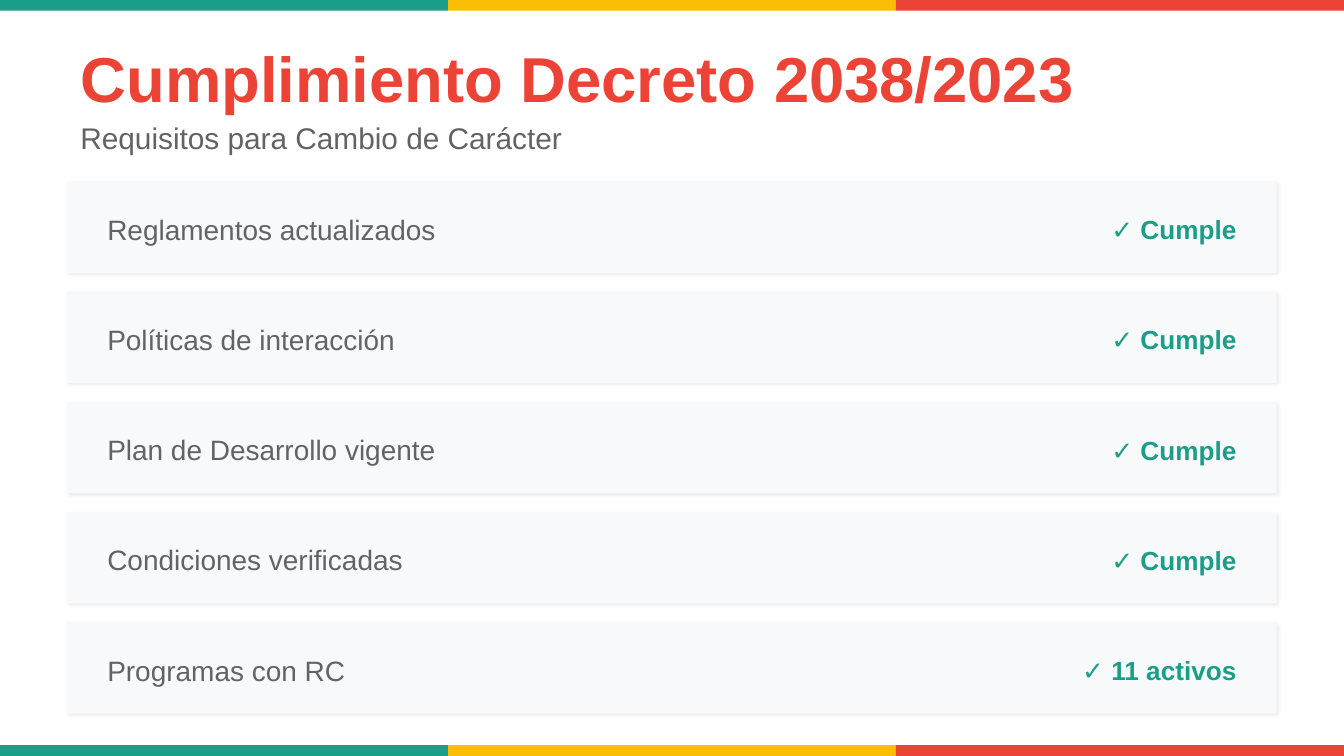
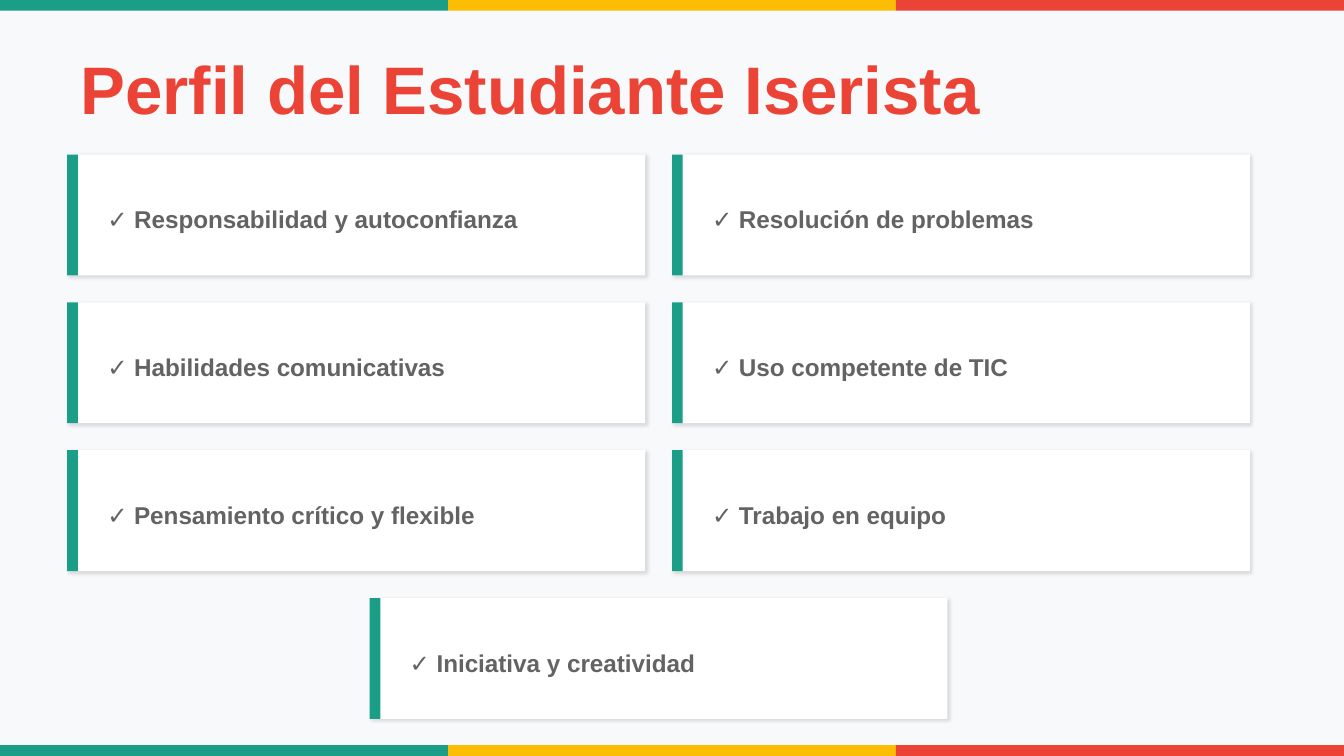
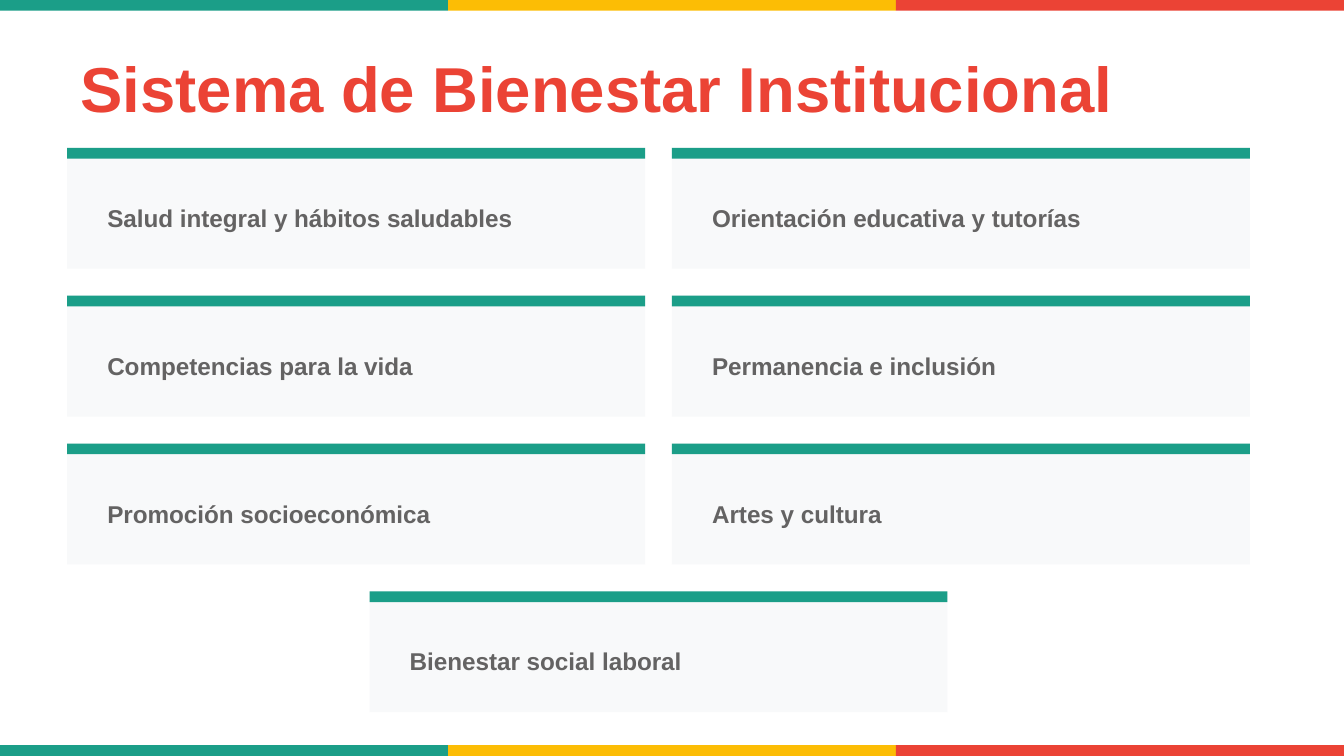
from lxml.etree import SubElement
from pptx import Presentation
from pptx.dml.color import RGBColor
from pptx.enum.shapes import MSO_SHAPE
from pptx.enum.text import MSO_ANCHOR, MSO_AUTO_SIZE, PP_ALIGN
from pptx.oxml.ns import qn
from pptx.util import Inches, Pt

# Content
REQUIREMENTS = [
    ("Reglamentos actualizados", "✓ Cumple"),
    ("Políticas de interacción", "✓ Cumple"),
    ("Plan de Desarrollo vigente", "✓ Cumple"),
    ("Condiciones verificadas", "✓ Cumple"),
    ("Programas con RC", "✓ 11 activos"),
]
PROFILE = [
    "✓ Responsabilidad y autoconfianza", "✓ Resolución de problemas",
    "✓ Habilidades comunicativas", "✓ Uso competente de TIC",
    "✓ Pensamiento crítico y flexible", "✓ Trabajo en equipo",
    "✓ Iniciativa y creatividad",
]
WELLBEING = [
    "Salud integral y hábitos saludables", "Orientación educativa y tutorías",
    "Competencias para la vida", "Permanencia e inclusión",
    "Promoción socioeconómica", "Artes y cultura",
    "Bienestar social laboral",
]

# Shared style, lengths in inches
COLORS = {"green": "1B9E88", "yellow": "FCBD05", "red": "EB4335",
          "gray": "646363", "light": "F8F9FA", "white": "FFFFFF", "black": "000000"}
FONT = "Arial"
W, H = 10, 10 * 9 / 16
MARGIN, PAD, BAND = 0.5, 0.2, 0.08
FULL = W - 2 * MARGIN
ROW_H, ROW_STEP = 0.68, 0.82
CARD_W, CARD_H, GAP = 4.3, 0.9, 0.2

prs = Presentation()
prs.slide_width, prs.slide_height = Inches(W), Inches(H)


def rgb(name):
    return RGBColor.from_string(COLORS[name])


def add_rect(s, x, y, w, h, color, shadow=0):
    """Plain rectangle; shadow is the opacity in percent."""
    sp = s.shapes.add_shape(MSO_SHAPE.RECTANGLE, *map(Inches, (x, y, w, h)))
    sp.fill.solid()
    sp.fill.fore_color.rgb = rgb(color)
    sp.line.fill.background()
    sp.shadow.inherit = False
    if shadow:
        effects = sp._element.spPr.find(qn("a:effectLst"))
        outer = SubElement(effects, qn("a:outerShdw"), blurRad=str(Pt(2)),
                           dist=str(Pt(1)), dir=str(45 * 60000),
                           algn="bl", rotWithShape="0")
        tint = SubElement(outer, qn("a:srgbClr"), val=COLORS["black"])
        SubElement(tint, qn("a:alpha"), val=str(shadow * 1000))


def write(sp, text, size, color, bold=False, align=PP_ALIGN.LEFT):
    tf = sp.text_frame
    tf.text = text
    tf.word_wrap = True
    tf.auto_size = MSO_AUTO_SIZE.NONE
    tf.vertical_anchor = MSO_ANCHOR.MIDDLE
    p = tf.paragraphs[0]
    p.alignment = align
    font = p.runs[0].font
    font.name, font.size, font.bold = FONT, Pt(size), bold
    font.color.rgb = rgb(color)


def add_text(s, x, y, w, h, *style, **options):
    write(s.shapes.add_textbox(*map(Inches, (x, y, w, h))), *style, **options)


def add_slide(title, size, title_h, background):
    s = prs.slides.add_slide(prs.slide_layouts[5])
    s.background.fill.solid()
    s.background.fill.fore_color.rgb = rgb(background)
    # Three-colour bands at top and bottom
    for y in (0, H - BAND):
        for i, color in enumerate(("green", "yellow", "red")):
            add_rect(s, i * W / 3, y, W / 3, BAND, color)
    sp = s.shapes.title
    sp.left, sp.top, sp.width, sp.height = map(Inches, (MARGIN, 0.3, FULL, title_h))
    write(sp, title, size, "red", bold=True)
    return s


def add_cards(s, labels, top, text_dy, fill, bar_size, shadow=0):
    """Two columns of cards; a last odd card sits between them."""
    for i, label in enumerate(labels):
        row, col = divmod(i, 2)
        if i == len(labels) - 1 and col == 0:
            col = 0.5
        x = MARGIN + col * (CARD_W + GAP)
        y = top + row * (CARD_H + GAP)
        add_rect(s, x, y, CARD_W, CARD_H, fill, shadow)
        add_rect(s, x, y, *bar_size, "green")
        add_text(s, x + PAD, y + text_dy, 4, 0.4, label, 13, "gray", bold=True)


# Slide 1: requirement rows with their status
s = add_slide("Cumplimiento Decreto 2038/2023", 34, 0.55, "white")
add_text(s, MARGIN, 0.85, FULL, 0.35, "Requisitos para Cambio de Carácter", 16, "gray")
for i, (name, status) in enumerate(REQUIREMENTS):
    y = 1.35 + i * ROW_STEP
    add_rect(s, MARGIN, y, FULL, ROW_H, "light", shadow=8)
    add_text(s, MARGIN + PAD, y + 0.18, 6, 0.35, name, 15, "gray")
    add_text(s, MARGIN + PAD + 6, y + 0.18, 2.6, 0.35, status, 14, "green",
             bold=True, align=PP_ALIGN.RIGHT)

# Slide 2: cards with a bar on the left
s = add_slide("Perfil del Estudiante Iserista", 36, 0.7, "light")
add_cards(s, PROFILE, 1.15, 0.28, "white", (BAND, CARD_H), shadow=12)

# Slide 3: cards with a bar on top
s = add_slide("Sistema de Bienestar Institucional", 34, 0.7, "white")
add_cards(s, WELLBEING, 1.1, 0.32, "light", (CARD_W, BAND))

prs.save("out.pptx")
